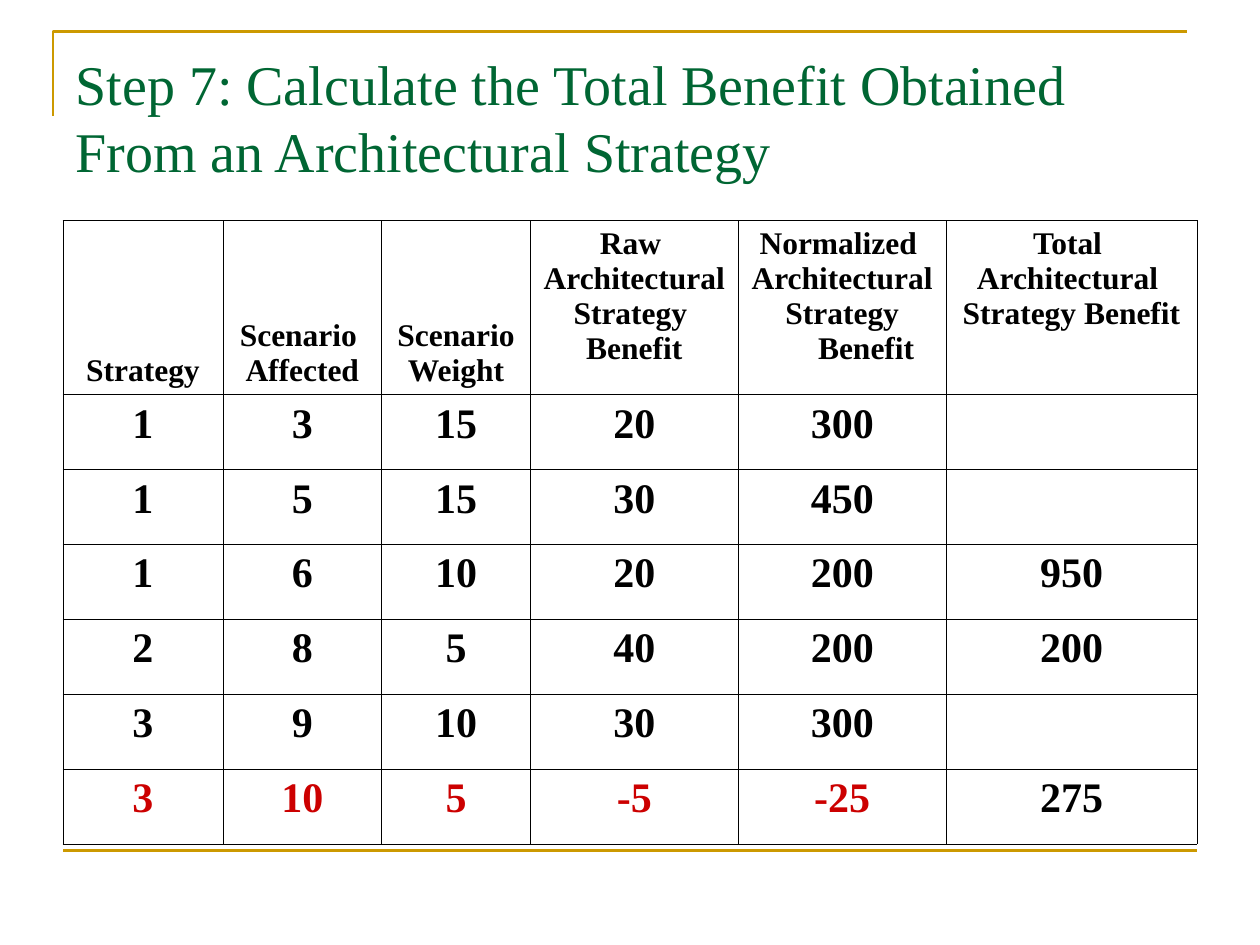
from pptx import Presentation
from pptx.dml.color import RGBColor
from pptx.enum.shapes import MSO_CONNECTOR
from pptx.enum.text import MSO_ANCHOR, PP_ALIGN
from pptx.oxml.ns import qn
from pptx.util import Inches, Pt
from lxml import etree

STRAIGHT = MSO_CONNECTOR.STRAIGHT
TOP, MIDDLE, BOTTOM = MSO_ANCHOR.TOP, MSO_ANCHOR.MIDDLE, MSO_ANCHOR.BOTTOM
LEFT, CENTER = PP_ALIGN.LEFT, PP_ALIGN.CENTER

FONT = "Times New Roman"
COLORS = {"title": "006633", "rule": "CC9900", "text": "000000", "negative": "CC0000"}

TITLE = "Step 7: Calculate the Total Benefit Obtained From an Architectural Strategy"
HEADERS = [
    ["Strategy"],
    ["Scenario ", "Affected"],
    ["Scenario ", "Weight"],
    ["Raw ", "Architectural ", "Strategy ", "Benefit"],
    ["Normalized ", "Architectural ", "Strategy Benefit"],
    ["Total ", "Architectural ", "Strategy Benefit"],
]
BENEFITS = [
    ["1", "3", "15", "20", "300", ""],
    ["1", "5", "15", "30", "450", ""],
    ["1", "6", "10", "20", "200", "950"],
    ["2", "8", "5", "40", "200", "200"],
    ["3", "9", "10", "30", "300", ""],
    ["3", "10", "5", "-5", "-25", "275"],
]
COLUMN_WIDTHS = [1.27, 1.26, 1.18, 1.65, 1.65, 1.99]
HEADER_HEIGHT = 1.38


def color(name):
    return RGBColor.from_string(COLORS[name])


def add_span(para, text, size, color_name, bold=False):
    span = para.add_run()
    span.text = text
    span.font.name = FONT
    span.font.size = Pt(size)
    span.font.bold = bold
    span.font.color.rgb = color(color_name)


def style_rule(rule):
    rule.line.color.rgb = color("rule")
    rule.line.width = Pt(1.5)


def add_frame(page, left, top, width, height):
    """Draw the corner rule around the title."""
    builder = page.shapes.build_freeform(Inches(left), Inches(top + height))
    builder.add_line_segments(
        [(Inches(left), Inches(top)), (Inches(left + width), Inches(top))], close=False)
    corner = builder.convert_to_shape()
    corner.shadow.inherit = False
    corner.fill.background()
    style_rule(corner)


def add_bottom_rule(page, left, top, width):
    rule = page.shapes.add_connector(
        STRAIGHT, Inches(left), Inches(top), Inches(left + width), Inches(top))
    style_rule(rule)
    etree.SubElement(rule._element.spPr, qn("a:effectLst"))


def fill_title(page, left, top, width, height):
    box = page.shapes.title
    box.left, box.top = Inches(left), Inches(top)
    box.width, box.height = Inches(width), Inches(height)
    frame = box.text_frame
    frame.word_wrap = True
    frame.vertical_anchor = MIDDLE
    para = frame.paragraphs[0]
    para.alignment = LEFT
    add_span(para, TITLE, 32, "title")


def add_borders(cell):
    properties = cell._tc.get_or_add_tcPr()
    for position, side in enumerate(("lnL", "lnR", "lnT", "lnB")):
        line = etree.Element(qn(f"a:{side}"), w=str(Pt(0.45)))
        fill = etree.SubElement(line, qn("a:solidFill"))
        etree.SubElement(fill, qn("a:srgbClr"), val=COLORS["text"])
        properties.insert(position, line)


def fill_cell(cell, lines, size, color_name="text", anchor=TOP):
    cell.fill.background()
    cell.vertical_anchor = anchor
    add_borders(cell)
    frame = cell.text_frame
    for index, text in enumerate(lines):
        para = frame.add_paragraph() if index else frame.paragraphs[0]
        para.alignment = CENTER
        indent = para._p.get_or_add_pPr()
        indent.set("marL", str(Inches(0.38)))
        indent.set("indent", str(Inches(-0.38)))
        if text:
            add_span(para, text, size, color_name, bold=True)


def add_benefit_table(page, left, top, width, height):
    table = page.shapes.add_table(
        len(BENEFITS) + 1, len(HEADERS),
        Inches(left), Inches(top), Inches(width), Inches(height)).table
    table.first_row = table.horz_banding = False
    for column, column_width in zip(table.columns, COLUMN_WIDTHS):
        column.width = Inches(column_width)
    row_height = (height - HEADER_HEIGHT) / len(BENEFITS)
    for index, row in enumerate(table.rows):
        row.height = Inches(row_height if index else HEADER_HEIGHT)

    for column, lines in enumerate(HEADERS):
        anchor = BOTTOM if column < 3 else TOP
        fill_cell(table.cell(0, column), lines, 18, anchor=anchor)
    for row, values in enumerate(BENEFITS, start=1):
        loses = values[3].startswith("-")
        for column, value in enumerate(values):
            shade = "negative" if loses and column < 5 else "text"
            fill_cell(table.cell(row, column), [value], 24, shade)


def main():
    deck = Presentation()
    deck.slide_width, deck.slide_height = Inches(10), Inches(7.5)
    page = deck.slides.add_slide(deck.slide_layouts[5])
    add_frame(page, 0.42, 0.25, 9, 0.67)
    add_bottom_rule(page, 0.5, 6.75, 9)
    fill_title(page, 0.5, 0.3, 9, 1.25)
    add_benefit_table(page, 0.5, 1.75, 9, 4.95)
    deck.save("out.pptx")


if __name__ == "__main__":
    main()
